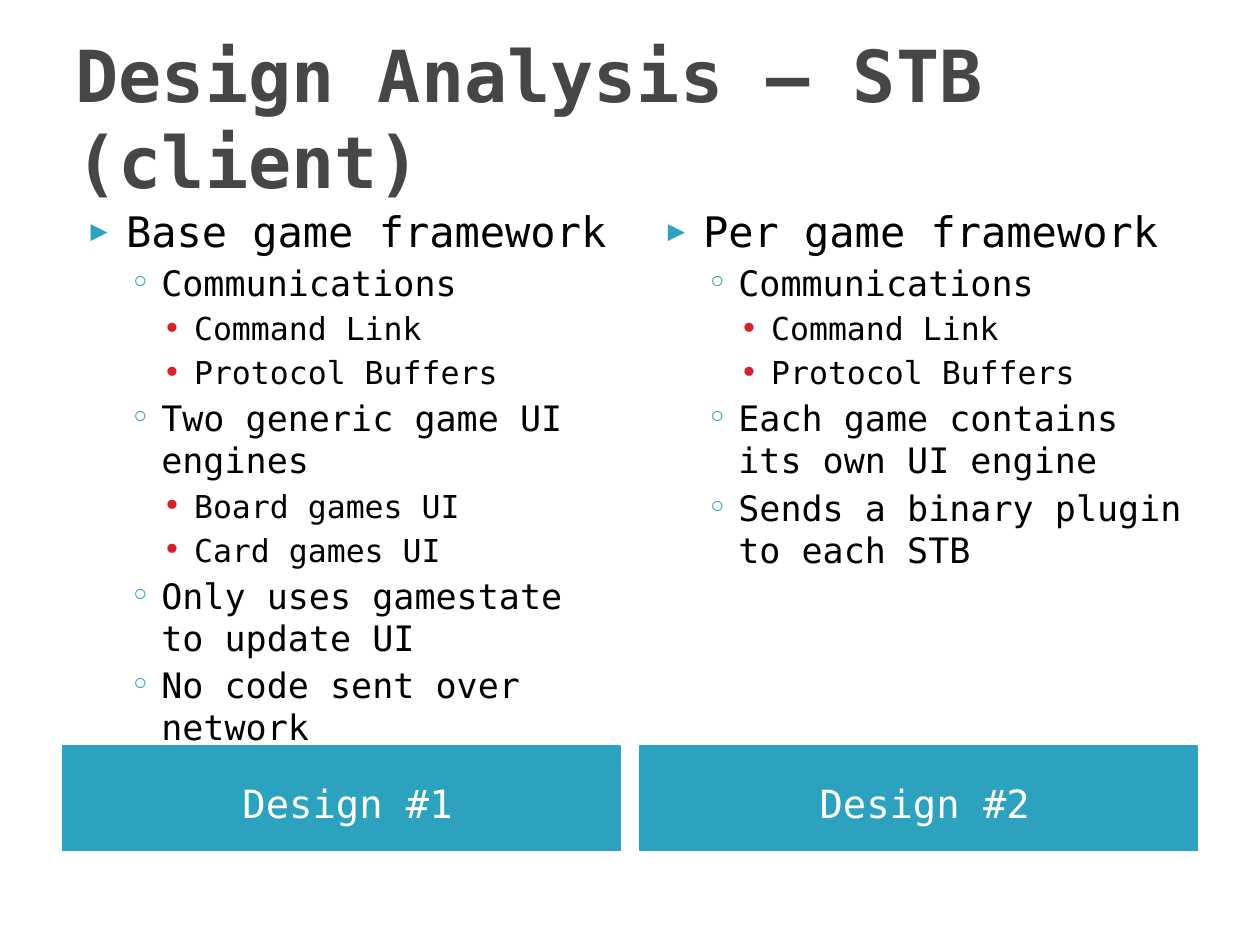
import pptx
import pptx.dml.color
import pptx.enum.text
import pptx.util
from lxml import etree
from pptx.util import Inches

TEAL, RED, GREY = "2DA2BF", "DA1F28", "464646"

# Per level: size, indent, hanging, space before, bullet, bullet colour, bullet %
LEVELS = [
    (24, 0.4, 0.28, 4, "▶", TEAL, 68),
    (20, 0.68, 0.25, 3.2, "◦", TEAL, 100),
    (18, 0.94, 0.25, 3.5, "•", RED, 100),
]

BASE = [
    (0, "Base game framework"),
    (1, "Communications"),
    (2, "Command Link"),
    (2, "Protocol Buffers"),
    (1, "Two generic game UI engines"),
    (2, "Board games UI"),
    (2, "Card games UI"),
    (1, "Only uses gamestate to update UI"),
    (1, "No code sent over network"),
]
PER = [
    (0, "Per game framework"),
    (1, "Communications"),
    (2, "Command Link"),
    (2, "Protocol Buffers"),
    (1, "Each game contains its own UI engine"),
    (1, "Sends a binary plugin to each STB"),
]


def color(code):
    return pptx.dml.color.RGBColor.from_string(code)


class Deck:
    font = "DejaVu Sans Mono"

    def __init__(self, slide):
        self.slide = slide

    def place(self, idx, left, top, width, height, anchor):
        box = self.slide.placeholders[idx]
        box.left, box.top = Inches(left), Inches(top)
        box.width, box.height = Inches(width), Inches(height)
        frame = box.text_frame
        frame.word_wrap = True
        frame.auto_size = pptx.enum.text.MSO_AUTO_SIZE.NONE
        frame.vertical_anchor = anchor
        return box

    def style(self, para, size, code, bold=False):
        for run in para.runs:
            run.font.name = self.font
            run.font.size = pptx.util.Pt(size)
            run.font.bold = bold
            run.font.color.rgb = color(code)

    def bullet(self, para, left, hang, char, code, scale):
        props = para._p.get_or_add_pPr()
        props.set("marL", str(Inches(left)))
        props.set("indent", str(-Inches(hang)))

        def add(parent, tag, **attrs):
            return etree.SubElement(parent, pptx.oxml.ns.qn(tag), attrs)

        add(add(props, "a:buClr"), "a:srgbClr", val=code)
        add(props, "a:buSzPct", val=str(scale * 1000))
        add(props, "a:buFont", typeface=self.font)
        add(props, "a:buChar", char=char)

    def title(self, text):
        box = self.place(0, 0.5, 0.3, 9, 1.25, pptx.enum.text.MSO_ANCHOR.MIDDLE)
        box.text_frame.text = text
        para = box.text_frame.paragraphs[0]
        para.alignment = pptx.enum.text.PP_ALIGN.LEFT
        self.style(para, 41, GREY, True)

    def banner(self, idx, left, text):
        box = self.place(idx, left, 5.92, 4.42, 0.83,
                         pptx.enum.text.MSO_ANCHOR.MIDDLE)
        box.fill.solid()
        box.fill.fore_color.rgb = color(TEAL)
        box.line.color.rgb = color(TEAL)
        box.line.width = pptx.util.Pt(0.75)
        frame = box.text_frame
        frame.margin_left, frame.margin_top = Inches(0.2), Inches(0.13)
        frame.text = text
        para = frame.paragraphs[0]
        para.alignment = pptx.enum.text.PP_ALIGN.CENTER
        para.space_before = pptx.util.Pt(0)
        self.style(para, 22.2, "FFFFFF")

    def points(self, idx, left, items):
        box = self.place(idx, left, 1.58, 4.42, 4.31,
                         pptx.enum.text.MSO_ANCHOR.TOP)
        frame = box.text_frame
        frame.text = "\n".join(text for _, text in items)
        for n, (para, (level, _)) in enumerate(zip(frame.paragraphs, items)):
            size, dent, hang, gap, char, code, scale = LEVELS[level]
            para.level = level
            para.space_before = pptx.util.Pt(gap if n else 0)
            self.bullet(para, dent, hang, char, code, scale)
            self.style(para, size, "000000")


def main():
    prs = pptx.Presentation()
    prs.slide_width, prs.slide_height = Inches(10), Inches(7.5)
    # Comparison layout: a title, then a heading and a list per column
    deck = Deck(prs.slides.add_slide(prs.slide_layouts[4]))
    deck.title("Design Analysis – STB (client)")

    # Two designs side by side
    for n, items in enumerate([BASE, PER]):
        left = 0.5 + n * 4.58
        deck.banner(1 + 2 * n, left, f"Design #{n + 1}")
        deck.points(2 + 2 * n, left, items)

    prs.save("out.pptx")


if __name__ == "__main__":
    main()
